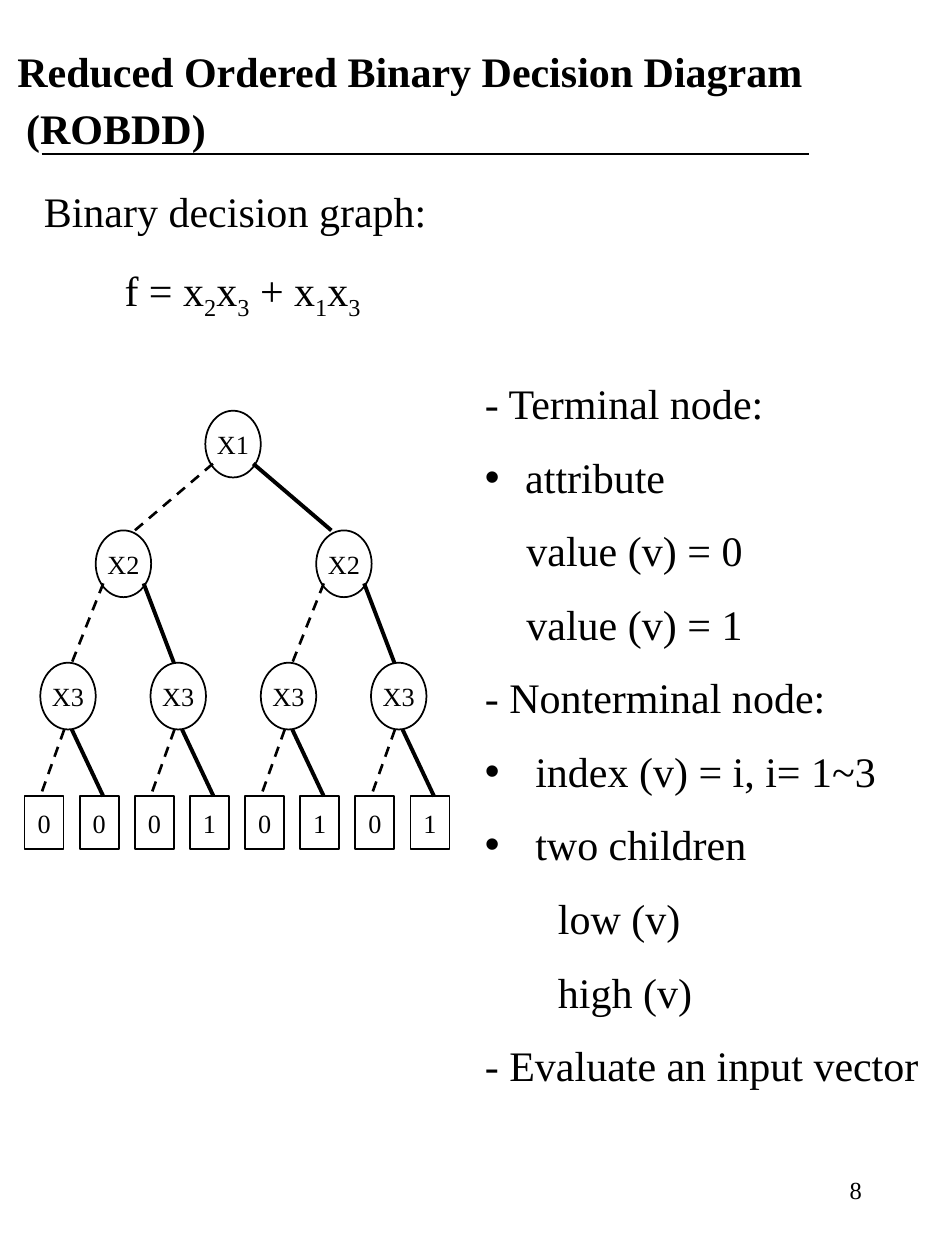
from dataclasses import dataclass
from pptx import Presentation
from pptx.dml.color import RGBColor
from pptx.enum.dml import MSO_LINE
from pptx.enum.shapes import MSO_CONNECTOR, MSO_SHAPE
from pptx.enum.text import MSO_ANCHOR, PP_ALIGN
from pptx.oxml.ns import qn
from pptx.util import Inches, Pt
from lxml import etree

FONT = "Times New Roman"
COLORS = {"ink": "000000", "page": "FFFFFF"}


@dataclass
class Item:
    text: str
    left: float = 0
    hang: float = 0
    bullet: bool = False


@dataclass
class Level:
    label: str
    top: float
    first: float  # centre of the leftmost node
    count: int
    exit: tuple[float, float]  # edge start, from top centre
    low: float  # sideways reach of the dashed edge
    high: float  # sideways reach of the solid edge


ITEMS = [
    Item("- Terminal node:"),
    Item("attribute", 0.32, 0.32, True),
    Item("value (v) = 0", 0.33),
    Item("value (v) = 1", 0.33),
    Item("- Nonterminal node:"),
    Item("index (v) = i, i= 1~3", 0.4, 0.4, True),
    Item("two children", 0.4, 0.4, True),
    Item("low (v)", 0.58),
    Item("high (v)", 0.58),
    Item("- Evaluate an input vector"),
]
LEVELS = [
    Level("X1", 3.26, 1.85, 1, (0.16, 0.42), 0.78, 0.78),
    Level("X2", 4.21, 0.98, 2, (0.16, 0.42), 0.41, 0.4),
    Level("X3", 5.26, 0.54, 4, (0.03, 0.53), 0.22, 0.28),
]
LEAVES = "00010101"
LEAF_TOP = 6.32
SPAN = 3.5  # width shared by the nodes of each level


def ink(name: str) -> RGBColor:
    return RGBColor.from_string(COLORS[name])


def style(para, size: float, bold: bool = False) -> None:
    font = para.font
    font.name, font.size, font.bold = FONT, Pt(size), bold
    font.color.rgb = ink("ink")


def indent(para, item: Item) -> None:
    props = para._p.get_or_add_pPr()
    props.set("marL", str(Inches(item.left)))
    props.set("indent", str(Inches(-item.hang)))
    if item.bullet:
        etree.SubElement(props, qn("a:buFont")).set("typeface", "Arial")
        etree.SubElement(props, qn("a:buChar")).set("char", "•")


def add_box(slide, x: float, y: float, w: float, h: float):
    frame = slide.shapes.add_textbox(
        Inches(x), Inches(y), Inches(w), Inches(h)).text_frame
    frame.word_wrap = True
    return frame


def add_items(frame, items: list[Item], size: float, gap: float,
              bold: bool = False) -> None:
    for i, item in enumerate(items):
        para = frame.paragraphs[0] if i == 0 else frame.add_paragraph()
        indent(para, item)
        if i:
            para.space_before = Pt(gap)
        if item.text:
            para.add_run().text = item.text
        style(para, size, bold)


def add_line(slide, x1: float, y1: float, x2: float, y2: float,
             width: float, dash: bool = False) -> None:
    line = slide.shapes.add_connector(
        MSO_CONNECTOR.STRAIGHT, Inches(x1), Inches(y1), Inches(x2), Inches(y2))
    line.line.color.rgb = ink("ink")
    line.line.width = Pt(width)
    if dash:
        line.line.dash_style = MSO_LINE.DASH
    etree.SubElement(line._element.spPr, qn("a:effectLst"))


def add_node(slide, kind: MSO_SHAPE, mid: float, top: float, w: float,
             h: float, label: str) -> None:
    node = slide.shapes.add_shape(
        kind, Inches(mid - w / 2), Inches(top), Inches(w), Inches(h))
    node.shadow.inherit = False
    node.fill.background()
    node.line.color.rgb = ink("ink")
    node.line.width = Pt(1)
    frame = node.text_frame
    frame.word_wrap = False
    frame.vertical_anchor = MSO_ANCHOR.MIDDLE
    para = frame.paragraphs[0]
    para.alignment = PP_ALIGN.CENTER
    para.add_run().text = label
    style(para, 15)


def add_tree(slide) -> None:
    # Decision nodes and leaves
    for level in LEVELS:
        for i in range(level.count):
            mid = level.first + i * SPAN / level.count
            add_node(slide, MSO_SHAPE.OVAL, mid, level.top, 0.44, 0.53, level.label)
    for i, value in enumerate(LEAVES):
        mid = 0.35 + i * SPAN / len(LEAVES)
        add_node(slide, MSO_SHAPE.RECTANGLE, mid, LEAF_TOP, 0.31, 0.42, value)

    # Dashed low edges and solid high edges
    ends = [level.top for level in LEVELS[1:]] + [LEAF_TOP]
    for level, end in zip(LEVELS, ends):
        dx, dy = level.exit
        for i in range(level.count):
            mid = level.first + i * SPAN / level.count
            start = level.top + dy
            add_line(slide, mid - dx, start, mid - level.low, end, 1.5, True)
            add_line(slide, mid + dx, start, mid + level.high, end, 2.25)


def main() -> None:
    deck = Presentation()
    deck.slide_width, deck.slide_height = Inches(7.5), Inches(10)
    slide = deck.slides.add_slide(deck.slide_layouts[6])
    slide.background.fill.solid()
    slide.background.fill.fore_color.rgb = ink("page")

    # Title and rule
    title = add_box(slide, -0.27, 0.04, 7.8, 1.19)
    title.margin_top = Inches(0.26)
    name = "Reduced Ordered Binary Decision Diagram (ROBDD)"
    add_items(title, [Item(name, 0.38, 0.07)], 24, 0, True)
    title.paragraphs[0].line_spacing = Pt(33)
    add_line(slide, 0.33, 1.22, 6.42, 1.22, 1)

    # Heading and formula
    body = add_box(slide, 0, 1.42, 7.1, 1.3)
    add_items(body, [Item("Binary decision graph:", 0.25), Item("", 0.89)], 24, 16.4)
    for part in ("f = x", "2", "x", "3", " + x", "1", "x", "3"):
        run = body.paragraphs[1].add_run()
        run.text = part
        if part.isdigit():
            run.font._element.set("baseline", "-25000")

    # Node notes
    add_items(add_box(slide, 3.75, 2.95, 3.71, 6.56), ITEMS, 24, 13.2)

    add_tree(slide)

    # Page number
    page = add_box(slide, 5.38, 9.11, 1.56, 0.67)
    page.vertical_anchor = MSO_ANCHOR.MIDDLE
    add_items(page, [Item("8")], 14, 0)
    page.paragraphs[0].alignment = PP_ALIGN.RIGHT

    deck.save("out.pptx")


if __name__ == "__main__":
    main()
